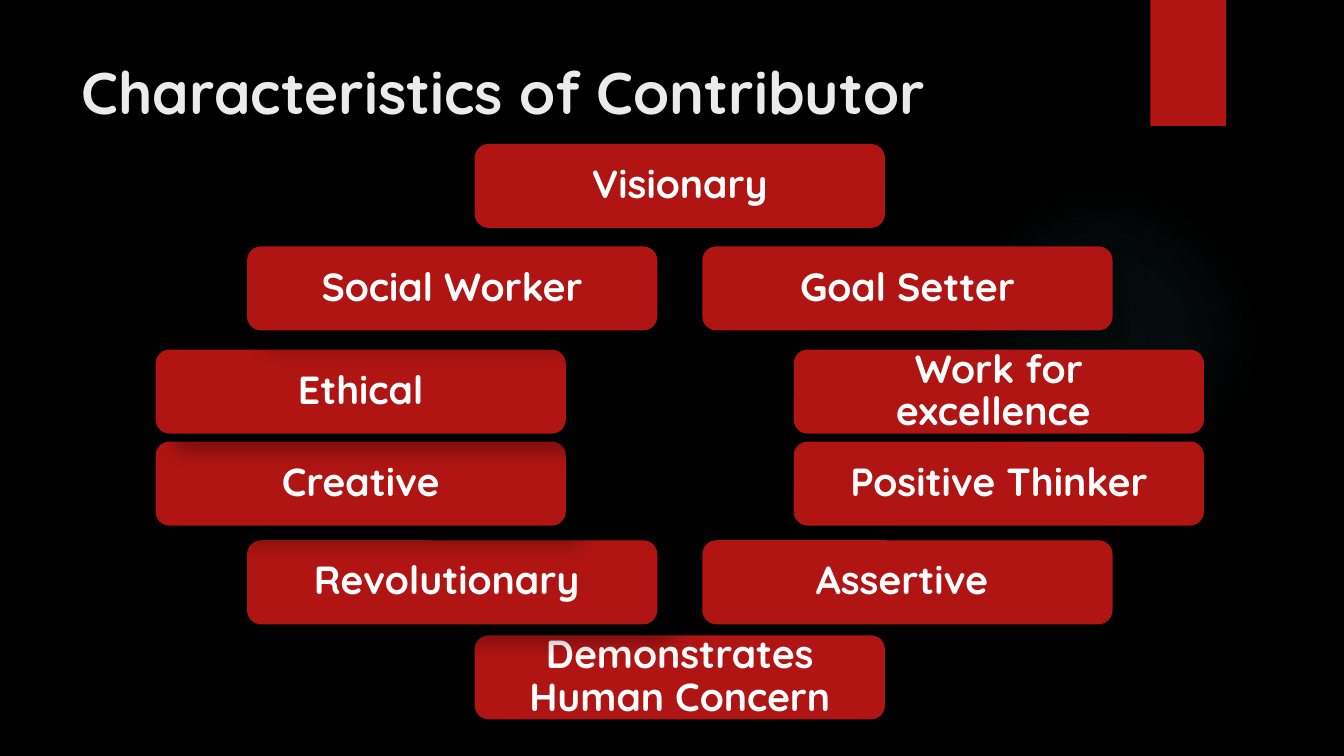
import pptx
import pptx.dml.color
import pptx.enum.shapes
import pptx.enum.text
import pptx.oxml
import pptx.oxml.ns
import pptx.util

Pt = pptx.util.Pt
SHAPES = pptx.enum.shapes.MSO_SHAPE
ANCHOR = pptx.enum.text.MSO_ANCHOR
ALIGN = pptx.enum.text.PP_ALIGN


class Deck:
    """Holds the style and the current slide, and adds its elements."""

    font_name = "Quicksand"
    colours = {
        "background": "000000",
        "card": "B01513",
        "glow": "50B9C1",
        "title": "EBEBEB",
        "label": "FFFFFF",
        "shadow": "000000",
    }

    def __init__(self, presentation):
        self.slide = presentation.slides.add_slide(presentation.slide_layouts[6])
        self.paint(self.slide.background.fill, "background")

    def paint(self, fill, colour):
        fill.solid()
        fill.fore_color.rgb = self.rgb(colour)

    def rgb(self, colour):
        return pptx.dml.color.RGBColor.from_string(self.colours[colour])

    def shape(self, kind, left, top, width, height):
        shape = self.slide.shapes.add_shape(kind, Pt(left), Pt(top), Pt(width), Pt(height))
        shape.line.fill.background()
        shape.shadow.inherit = False
        return shape

    def block(self, kind, box, opacity, blur, distance, angle):
        block = self.shape(kind, *box)
        self.paint(block.fill, "card")
        effects = block._element.spPr.find(pptx.oxml.ns.qn("a:effectLst"))
        effects.append(pptx.oxml.parse_xml(
            f'<a:outerShdw {pptx.oxml.ns.nsdecls("a")} blurRad="{Pt(blur)}" dist="{Pt(distance)}" '
            f'dir="{angle * 60000}" algn="ctr" rotWithShape="0">'
            f'<a:srgbClr val="{self.colours["shadow"]}"><a:alpha val="{opacity * 1000}"/></a:srgbClr>'
            '</a:outerShdw>'))
        return block

    def glow(self, left, top, size, stops):
        glow = self.shape(SHAPES.OVAL, left, top, size, size)
        stop_list = "".join(
            f'<a:gs pos="{position * 1000}"><a:srgbClr val="{self.colours["glow"]}">'
            f'<a:alpha val="{opacity * 1000}"/></a:srgbClr></a:gs>'
            for position, opacity in stops)
        glow._element.spPr.insert(2, pptx.oxml.parse_xml(
            f'<a:gradFill {pptx.oxml.ns.nsdecls("a")}><a:gsLst>{stop_list}</a:gsLst>'
            '<a:path path="circle"><a:fillToRect l="50000" t="50000" r="50000" b="50000"/></a:path>'
            '</a:gradFill>'))

    def lettering(self, frame, text, size, colour, align, anchor):
        frame.word_wrap = True
        frame.vertical_anchor = anchor
        paragraph = frame.paragraphs[0]
        paragraph.text = text
        paragraph.alignment = align
        paragraph.font.name = self.font_name
        paragraph.font.size = Pt(size)
        paragraph.font.bold = True
        paragraph.font.color.rgb = self.rgb(colour)
        return paragraph

    def title(self, text, left, top, width, height):
        title = self.slide.shapes.add_textbox(Pt(left), Pt(top), Pt(width), Pt(height))
        self.lettering(title.text_frame, text, 42, "title", ALIGN.LEFT, ANCHOR.TOP)

    def card(self, text, centre, top, width=293, height=60):
        box = (centre - width / 2, top, width, height)
        card = self.block(SHAPES.ROUNDED_RECTANGLE, box, 30, 15, 18, 45)
        frame = card.text_frame
        frame.margin_left = frame.margin_right = Pt(12)
        frame.margin_top = frame.margin_bottom = Pt(12)
        label = self.lettering(frame, text, 28, "label", ALIGN.CENTER, ANCHOR.MIDDLE)
        label.line_spacing = 0.9


def main():
    presentation = pptx.Presentation()
    presentation.slide_width = Pt(960)
    presentation.slide_height = Pt(540)
    deck = Deck(presentation)

    deck.glow(677.5, 131.8, 221.8, [(0, 7), (36, 6), (69, 0)])
    deck.block(SHAPES.RECTANGLE, (821.8, 0, 54, 90), 45, 3, 2, 90)
    deck.title("Characteristics of Contributor", 51, 36, 741, 66)

    ring_centre, inner, outer = 485.6, 162.6, 227.9
    row_tops = [102.8, 176, 249.7, 315.4, 385.9, 453.8]
    traits_clockwise = [
        ("Visionary", 0, 0),
        ("Goal Setter", inner, 1),
        ("Work for excellence ", outer, 2),
        ("Positive Thinker", outer, 3),
        ("Assertive ", inner, 4),
        ("Demonstrates Human Concern", 0, 5),
        ("Revolutionary ", -inner, 4),
        ("Creative", -outer, 3),
        ("Ethical", -outer, 2),
        ("Social Worker", -inner, 1),
    ]
    for trait, offset, row in traits_clockwise:
        deck.card(trait, ring_centre + offset, row_tops[row])

    presentation.save("out.pptx")


if __name__ == "__main__":
    main()
